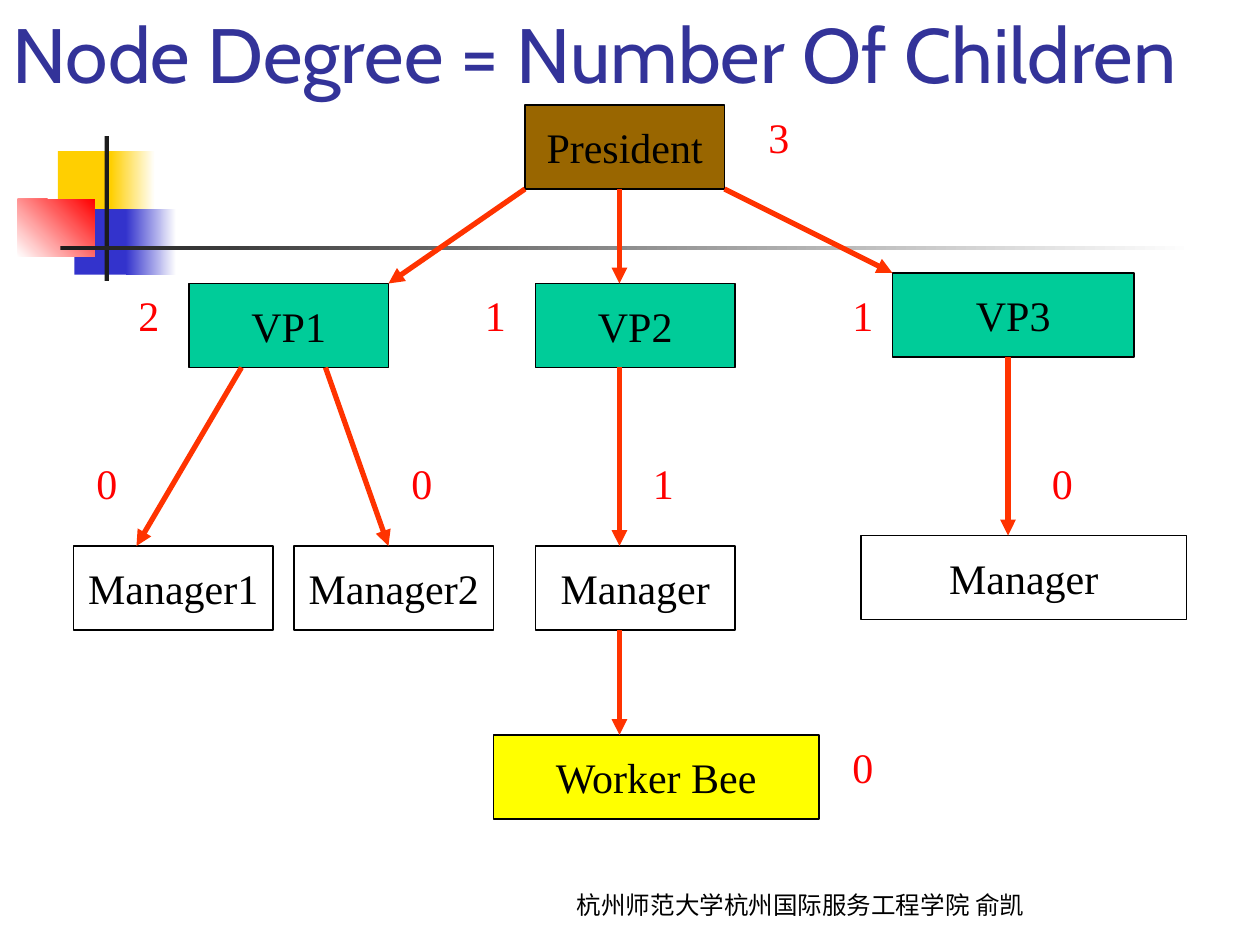
from lxml import etree
from pptx import Presentation
from pptx.dml.color import RGBColor
from pptx.enum.shapes import MSO_CONNECTOR, MSO_SHAPE
from pptx.enum.text import MSO_ANCHOR, MSO_AUTO_SIZE, PP_ALIGN
from pptx.oxml.ns import qn
from pptx.util import Inches, Pt

RECT, ROUNDED = MSO_SHAPE.RECTANGLE, MSO_SHAPE.ROUNDED_RECTANGLE
STRAIGHT = MSO_CONNECTOR.STRAIGHT
TOP, MIDDLE, BOTTOM = MSO_ANCHOR.TOP, MSO_ANCHOR.MIDDLE, MSO_ANCHOR.BOTTOM
FIXED, GROW = MSO_AUTO_SIZE.NONE, MSO_AUTO_SIZE.SHAPE_TO_FIT_TEXT
LEFT, CENTER = PP_ALIGN.LEFT, PP_ALIGN.CENTER
SLIDE_W, SLIDE_H = 10, 7.5
SANS, SERIF = "Cabin", "Times New Roman"

TITLE_BOX = (0, 0, SLIDE_W, SLIDE_H / 9)
DECOR_BOX = (0.14, 1.08, 9.34, 1.15)
TREE_BOX = (7 / 12, 10 / 12, 106 / 12, 68 / 12)
FOOTER_BOX = (4.06, 7.02, 4.59, 0.33)
TREE_GRID = (106, 68)
DECOR_GRID = (934, 115)

BROWN, GREEN, WHITE, YELLOW = "996600", "00CC99", "FFFFFF", "FFFF00"
GOLD, BLUE, RED, INK = "FFCF01", "3333CC", "FF0000", "1C1C1C"
NODE_W, NODE_H = 19, 8
NODES = {
    "president": ("President", 43, 0, NODE_W, BROWN),
    "vp1": ("VP1", 11, 17, NODE_W, GREEN),
    "vp2": ("VP2", 44, 17, NODE_W, GREEN),
    "vp3": ("VP3", 78, 16, 23, GREEN),
    "manager1": ("Manager1", 0, 42, NODE_W, WHITE),
    "manager2": ("Manager2", 21, 42, NODE_W, WHITE),
    "vp2_manager": ("Manager", 44, 42, NODE_W, WHITE),
    "vp3_manager": ("Manager", 75, 41, 31, WHITE),
    "worker": ("Worker Bee", 40, 60, 31, YELLOW),
}
EDGES = [
    ("president", 9, "vp2", 8),
    ("president", 0, "vp1", 19),
    ("president", 19, "vp3", 0),
    ("vp1", 5, "manager1", 6),
    ("vp1", 13, "manager2", 9),
    ("vp2", 8, "vp2_manager", 8),
    ("vp3", 11, "vp3_manager", 14),
    ("vp2_manager", 8, "worker", 12),
]
DEGREES = [
    ("3", 65, 0), ("2", 5, 17), ("1", 38, 17), ("1", 73, 17), ("0", 1, 33),
    ("0", 31, 33), ("1", 54, 33), ("0", 92, 33), ("0", 73, 60),
]
DECOR = [
    (32, 12, 48, 52, (GOLD,), 0, None),
    (74, 12, 35, 52, (GOLD, WHITE), 0, None),
    (45, 58, 46, 52, (BLUE,), 0, None),
    (86, 58, 40, 52, (BLUE, WHITE), 0, None),
    (0, 50, 61, 46, (WHITE, RED), 45, 0.004),
    (69, 0, 3.5, 115, (INK,), 0, None),
    (34, 87, 900, 3.5, (INK, WHITE), 0, 0.05),
]


def rgb(value):
    """Turn a hex string into a colour."""
    return RGBColor.from_string(value)


def inches(box):
    """Turn numbers in inches into lengths."""
    return [Inches(v) for v in box]


def cell(box, grid, x, y, w=0, h=0):
    """Map grid columns and rows inside a box to lengths."""
    dx, dy = box[2] / grid[0], box[3] / grid[1]
    return inches((box[0] + x * dx, box[1] + y * dy, w * dx, h * dy))


def set_attrs(obj, **formats):
    """Set each format value on an object."""
    for name, value in formats.items():
        setattr(obj, name, value)


def write(sp, text, size, face, color, align=LEFT, **frame):
    """Put one formatted line of text in a shape."""
    tf = sp.text_frame
    set_attrs(tf, **frame)
    p = tf.paragraphs[0]
    p.alignment = align
    r = p.add_run()
    r.text = text
    set_attrs(r.font, size=Pt(size), name=face, bold=False)
    r.font.color.rgb = rgb(color)
    return p


def paint(sp, colors, angle=0):
    """Fill a shape with one colour or a two-colour gradient."""
    sp.shadow.inherit = False
    if len(colors) == 1:
        sp.fill.solid()
        sp.fill.fore_color.rgb = rgb(colors[0])
        return
    sp.fill.gradient()
    sp.fill.gradient_angle = angle
    for stop, color in zip(sp.fill.gradient_stops, colors):
        stop.color.rgb = rgb(color)


def add_arrow(shapes, start, end):
    """Draw a red arrow between two points."""
    line = shapes.add_connector(STRAIGHT, *start, *end)
    line.line.color.rgb = rgb("FF3300")
    line.line.width = Pt(3)
    ln = line.line._get_or_add_ln()
    etree.SubElement(ln, qn("a:tailEnd"), type="triangle")
    etree.SubElement(ln.getparent(), qn("a:effectLst"))


def add_decor(s, box):
    """Draw the coloured squares and crossing bars."""
    for x, y, w, h, colors, angle, rounding in DECOR:
        kind = RECT if rounding is None else ROUNDED
        sp = s.shapes.add_shape(kind, *cell(box, DECOR_GRID, x, y, w, h))
        if rounding is not None:
            sp.adjustments[0] = rounding
        paint(sp, colors, angle)
        sp.line.fill.background()


def add_title(s, box):
    """Place the slide title."""
    sp = s.shapes.title
    set_attrs(sp, **dict(zip(("left", "top", "width", "height"), inches(box))))
    write(sp, "Node Degree = Number Of Children", 44, SANS, "333399",
          vertical_anchor=BOTTOM, auto_size=FIXED, word_wrap=True)


def add_footer(s, box):
    """Place the school and author line."""
    sp = s.shapes.add_textbox(*inches(box))
    p = write(sp, "杭州师范大学杭州国际服务工程学院 俞凯", 14, SANS, "000000", CENTER,
              vertical_anchor=BOTTOM, auto_size=GROW, word_wrap=True)
    p.line_spacing = 0.96


def add_tree(s, box):
    """Draw the organisation tree with its arrows and degrees."""
    shapes = s.shapes.add_group_shape().shapes
    for text, x, y, w, color in NODES.values():
        sp = shapes.add_shape(RECT, *cell(box, TREE_GRID, x, y, w, NODE_H))
        paint(sp, (color,))
        sp.line.color.rgb = rgb("000000")
        sp.line.width = Pt(1)
        write(sp, text, 24, SERIF, "000000", CENTER,
              vertical_anchor=MIDDLE, word_wrap=False)
    for parent, dx, child, cx in EDGES:
        _, px, py, *_ = NODES[parent]
        _, x, y, *_ = NODES[child]
        start = cell(box, TREE_GRID, px + dx, py + NODE_H)[:2]
        add_arrow(shapes, start, cell(box, TREE_GRID, x + cx, y)[:2])
    for text, x, y in DEGREES:
        sp = s.shapes.add_textbox(*cell(box, TREE_GRID, x, y, 6, 6))
        write(sp, text, 24, SERIF, RED, vertical_anchor=TOP,
              auto_size=GROW, word_wrap=True)


def main():
    """Build and save the slide."""
    prs = Presentation()
    set_attrs(prs, slide_width=Inches(SLIDE_W), slide_height=Inches(SLIDE_H))
    s = prs.slides.add_slide(prs.slide_layouts[5])
    add_decor(s, DECOR_BOX)
    add_footer(s, FOOTER_BOX)
    add_title(s, TITLE_BOX)
    add_tree(s, TREE_BOX)
    prs.save("out.pptx")


if __name__ == "__main__":
    main()
